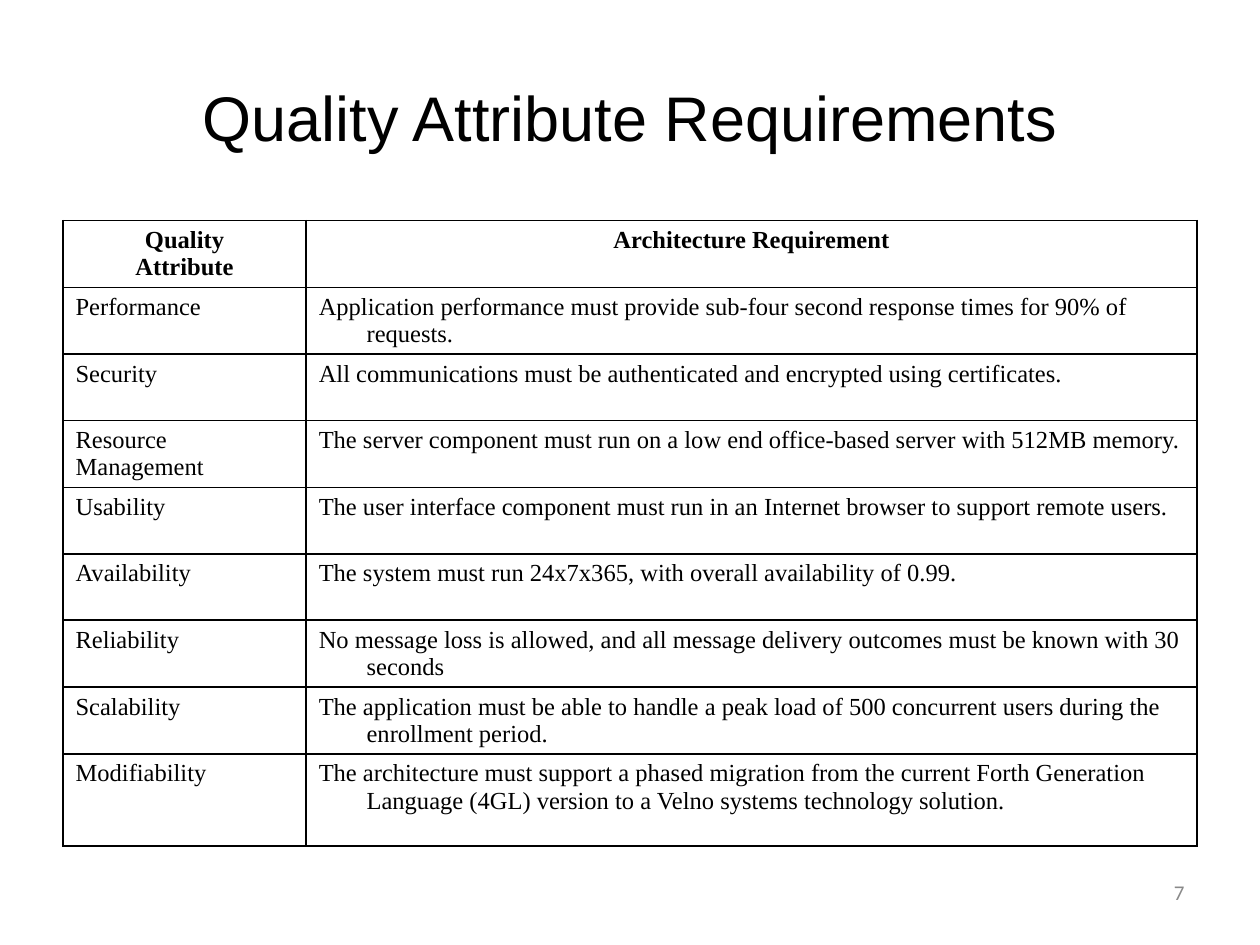
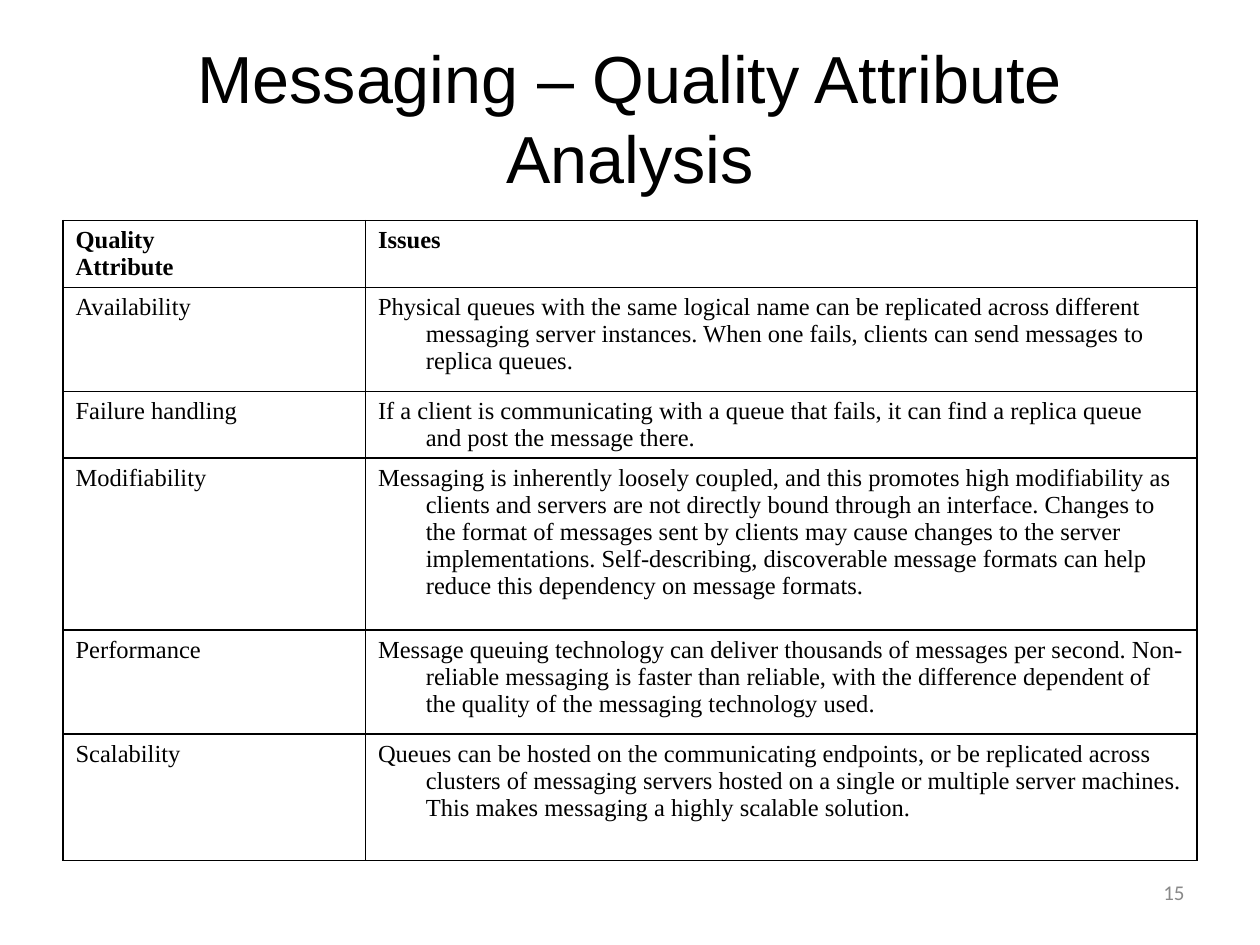
from lxml import etree
from pptx import Presentation
from pptx.dml.color import RGBColor
from pptx.enum.text import MSO_ANCHOR, MSO_AUTO_SIZE, PP_ALIGN
from pptx.oxml.ns import qn
from pptx.util import Inches, Pt

LEFT, MID, RIGHT, FULL = (
    PP_ALIGN.LEFT, PP_ALIGN.CENTER, PP_ALIGN.RIGHT, PP_ALIGN.JUSTIFY)
CENTRE, TOP = MSO_ANCHOR.MIDDLE, MSO_ANCHOR.TOP
NO_FIT = MSO_AUTO_SIZE.NONE

COLOURS = {"ink": "000000", "paper": "FFFFFF", "grey": "898989"}
WIDE, HIGH = Inches(10), Inches(7.5)
COLS, ROWS = 40, 30
TITLE_BOX = (2, 1.2, 36, 5)
TABLE_BOX = (2, 7, 36, 20.6)
PAGE_BOX = (28.7, 27.33, 9.3, 2)
HANG = Inches(0.38)

NEEDS = [
    ("Quality\nAttribute", "Architecture Requirement"),
    ("Performance", "Application performance must provide sub-four second "
     "response times for 90% of requests."),
    ("Security", "All communications must be authenticated and encrypted "
     "using certificates."),
    ("Resource\nManagement", "The server component must run on a low end "
     "office-based server with 512MB memory."),
    ("Usability", "The user interface component must run in an Internet "
     "browser to support remote users."),
    ("Availability", "The system must run 24x7x365, with overall "
     "availability of 0.99."),
    ("Reliability", "No message loss is allowed, and all message delivery "
     "outcomes must be known with 30 seconds"),
    ("Scalability", "The application must be able to handle a peak load of "
     "500 concurrent users during the enrollment period."),
    ("Modifiability", "The architecture must support a phased migration from "
     "the current Forth Generation Language (4GL) version to a Velno systems "
     "technology solution."),
]
ISSUES = [
    ("Quality\nAttribute", "Issues"),
    ("Availability", "Physical queues with the same logical name can be "
     "replicated across different messaging server instances. When one "
     "fails, clients can send messages to replica queues."),
    ("Failure handling", "If a client is communicating with a queue that "
     "fails, it can find a replica queue and post the message there."),
    ("Modifiability", "Messaging is inherently loosely coupled, and this "
     "promotes high modifiability as clients and servers are not directly "
     "bound through an interface. Changes to the format of messages sent by "
     "clients may cause changes to the server implementations. "
     "Self-describing, discoverable message formats can help reduce this "
     "dependency on message formats."),
    ("Performance", "Message queuing technology can deliver thousands of "
     "messages per second. Non-reliable messaging is faster than reliable, "
     "with the difference dependent of the quality of the messaging "
     "technology used."),
    ("Scalability", "Queues can be hosted on the communicating endpoints, or "
     "be replicated across clusters of messaging servers hosted on a single "
     "or multiple server machines. This makes messaging a highly scalable "
     "solution."),
]


def tint(name):
    """Return a named colour."""
    return RGBColor.from_string(COLOURS[name])


def across(cols):
    """Turn grid columns into a length."""
    return int(WIDE * cols / COLS)


def down(rows):
    """Turn grid rows into a length."""
    return int(HIGH * rows / ROWS)


def place(box):
    """Turn a grid box into left, top, width and height."""
    left, top, width, height = box
    return across(left), down(top), across(width), down(height)


def write(frame, text, font="Arial", size=14, colour="ink", bold=False,
          align=LEFT, anchor=CENTRE, hang=0):
    """Fill a text frame, one paragraph a line."""
    frame.word_wrap = True
    frame.vertical_anchor = anchor
    for index, line in enumerate(text.split("\n")):
        para = frame.add_paragraph() if index else frame.paragraphs[0]
        para.alignment = align
        if hang:
            props = para._p.get_or_add_pPr()
            props.set("marL", str(hang))
            props.set("indent", str(-hang))
        run = para.add_run()
        run.text = line
        run.font.name, run.font.size, run.font.bold = font, Pt(size), bold
        run.font.color.rgb = tint(colour)


def edge(cell):
    """Draw thin lines on all sides of a cell."""
    props = cell._tc.get_or_add_tcPr()
    for index, side in enumerate(("lnL", "lnR", "lnT", "lnB")):
        line = etree.Element(qn(f"a:{side}"), w=str(Pt(1)))
        fill = etree.SubElement(line, qn("a:solidFill"))
        etree.SubElement(fill, qn("a:srgbClr"), val=COLOURS["ink"])
        props.insert(index, line)


def head(slide, box, text, size):
    """Place and fill the slide title."""
    title = slide.shapes.title
    title.left, title.top, title.width, title.height = place(box)
    title.text_frame.auto_size = NO_FIT
    write(title.text_frame, text, size=size, align=MID)


def grid(slide, box, data, cols, rows, top):
    """Draw the table of attributes, its head row aligned by top."""
    table = slide.shapes.add_table(len(rows), len(cols), *place(box)).table
    table.first_row = table.horz_banding = False
    for col, width in zip(table.columns, cols):
        col.width = across(width)
    for row, height in zip(table.rows, rows):
        row.height = down(height)
    for r, texts in enumerate(data):
        for c, text in enumerate(texts):
            cell = table.cell(r, c)
            cell.fill.solid()
            cell.fill.fore_color.rgb = tint("paper")
            edge(cell)
            align = (FULL, LEFT)[c] if r else top
            write(cell.text_frame, text, font="Times New Roman",
                  bold=r == 0, align=align, anchor=TOP, hang=HANG)


def page(slide, box, number):
    """Write the page number."""
    note = slide.shapes.add_textbox(*place(box))
    write(note.text_frame, str(number), font="Calibri", size=12,
          colour="grey", align=RIGHT)


def build(deck, title, size, number, **parts):
    """Add one slide with title, table and page number."""
    slide = deck.slides.add_slide(deck.slide_layouts[5])
    head(slide, TITLE_BOX, title, size)
    grid(slide, TABLE_BOX, **parts)
    page(slide, PAGE_BOX, number)


def main():
    """Build and save the deck."""
    deck = Presentation()
    deck.slide_width, deck.slide_height = WIDE, HIGH
    build(deck, "Quality Attribute Requirements", 36, 7, data=NEEDS,
          cols=(7.72, 28.28), rows=[2.11] * 8 + [2.92], top=MID)
    build(deck, "Messaging – Quality Attribute Analysis", 38, 15, data=ISSUES,
          cols=(9.6, 26.4), rows=[2.12, 3.3, 2.12, 5.46, 3.3, 4.02],
          top=FULL)
    deck.save("out.pptx")


if __name__ == "__main__":
    main()
